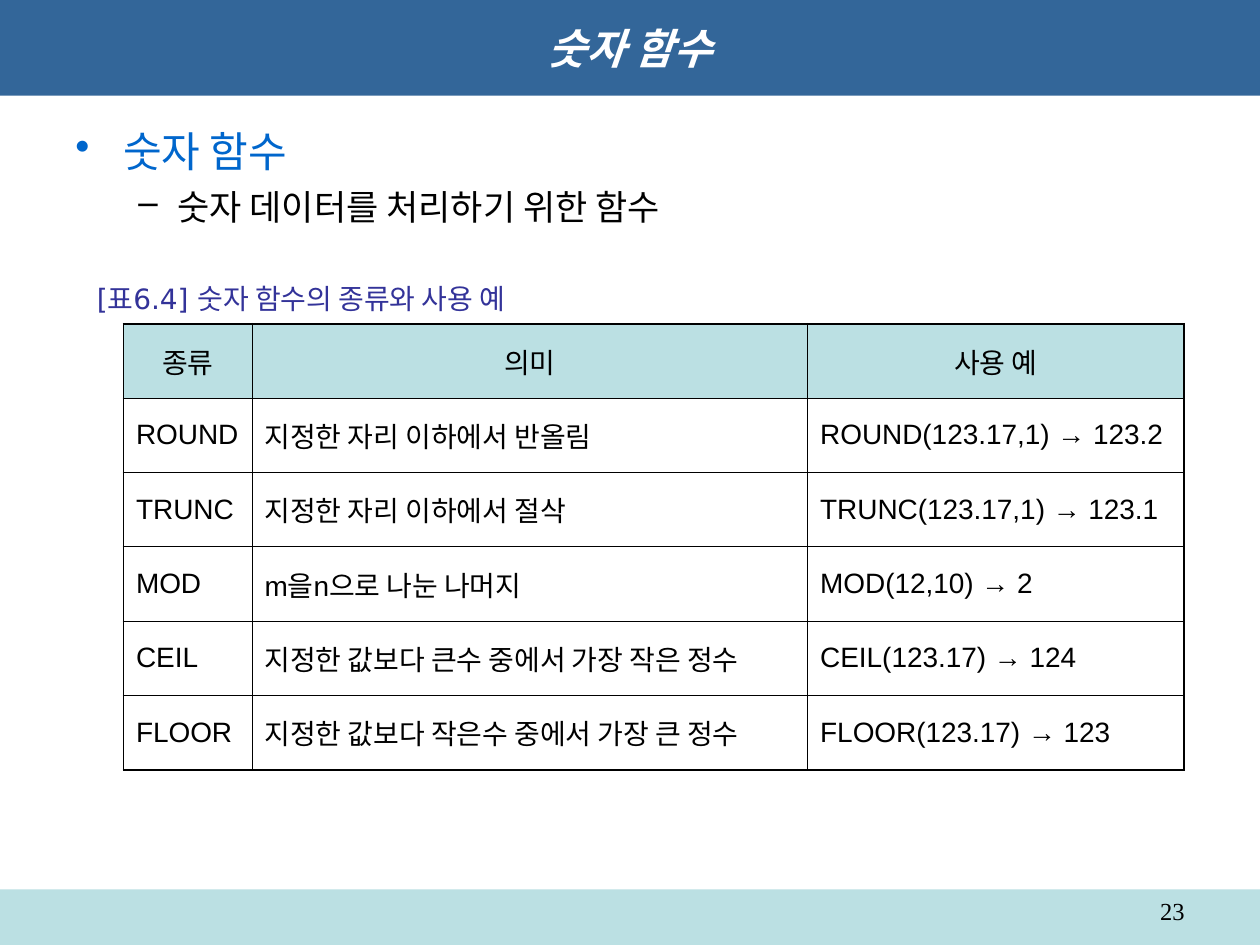
from lxml.etree import SubElement
from pptx import Presentation
from pptx.dml.color import RGBColor
from pptx.enum.shapes import MSO_SHAPE
from pptx.enum.text import MSO_ANCHOR, PP_ALIGN
from pptx.oxml.ns import qn
from pptx.util import Inches, Pt

COLORS = {
    "header": "336699",
    "pale": "BBE0E3",
    "heading": "0066CC",
    "caption": "333399",
    "text": "000000",
    "title": "FFFFFF",
}
COLUMN_WIDTHS = [1.02, 4.41, 2.99]
ROWS = [
    ["종류", "의미", "사용 예"],
    ["ROUND", "지정한 자리 이하에서 반올림", "ROUND(123.17,1) → 123.2"],
    ["TRUNC", "지정한 자리 이하에서 절삭", "TRUNC(123.17,1) → 123.1"],
    ["MOD", "m을n으로 나눈 나머지", "MOD(12,10) → 2"],
    ["CEIL", "지정한 값보다 큰수 중에서 가장 작은 정수", "CEIL(123.17) → 124"],
    ["FLOOR", "지정한 값보다 작은수 중에서 가장 큰 정수", "FLOOR(123.17) → 123"],
]


def color(name):
    return RGBColor.from_string(COLORS[name])


def add_run(paragraph, text, size, color_name="text", font_name="Arial"):
    run = paragraph.add_run()
    run.text = text
    run.font.size = Pt(size)
    run.font.name = font_name
    run.font.color.rgb = color(color_name)
    return run


def add_band(slide, box, fill):
    band = slide.shapes.add_shape(MSO_SHAPE.RECTANGLE, *map(Inches, box))
    band.shadow.inherit = False
    band.fill.solid()
    band.fill.fore_color.rgb = color(fill)
    band.line.fill.background()
    return band


def add_text_frame(slide, box, wrap=True):
    text_frame = slide.shapes.add_textbox(*map(Inches, box)).text_frame
    text_frame.word_wrap = wrap
    return text_frame


def add_title(slide, box):
    text_frame = add_band(slide, box, "header").text_frame
    text_frame.vertical_anchor = MSO_ANCHOR.MIDDLE
    paragraph = text_frame.paragraphs[0]
    paragraph.alignment = PP_ALIGN.CENTER
    run = add_run(paragraph, "숫자 함수", 24, "title", "DejaVu Sans")
    run.font.bold = True
    run.font.italic = True


def set_bullet(paragraph, character, color_name, margin, indent):
    properties = paragraph._p.get_or_add_pPr()
    properties.set("marL", str(Inches(margin)))
    properties.set("indent", str(Inches(indent)))
    bullet_color = SubElement(properties, qn("a:buClr"))
    SubElement(bullet_color, qn("a:srgbClr"), val=COLORS[color_name])
    SubElement(properties, qn("a:buChar"), char=character)


def add_body(slide, box):
    text_frame = add_text_frame(slide, box)
    heading = text_frame.paragraphs[0]
    set_bullet(heading, "•", "heading", 0.38, -0.38)
    add_run(heading, "숫자 함수", 24, "heading")
    detail = text_frame.add_paragraph()
    detail.level = 1
    set_bullet(detail, "–", "text", 0.81, -0.31)
    detail.space_before = Pt(5)
    add_run(detail, "숫자 데이터를 처리하기 위한 함수", 20)


def set_borders(cell, outer_edges):
    properties = cell._tc.get_or_add_tcPr()
    for side in "LRTB":
        width = Pt(1.08 if side in outer_edges else 0.45)
        line = SubElement(properties, qn(f"a:ln{side}"), w=str(width))
        fill = SubElement(line, qn("a:solidFill"))
        SubElement(fill, qn("a:srgbClr"), val=COLORS["text"])


def add_function_table(slide, box):
    row_count, column_count = len(ROWS), len(COLUMN_WIDTHS)
    table = slide.shapes.add_table(row_count, column_count, *map(Inches, box)).table
    for column, width in zip(table.columns, COLUMN_WIDTHS):
        column.width = Inches(width)
    for row_index, texts in enumerate(ROWS):
        for column_index, text in enumerate(texts):
            cell = table.cell(row_index, column_index)
            edges = {
                "L": column_index == 0,
                "R": column_index == column_count - 1,
                "T": row_index == 0,
                "B": row_index == row_count - 1,
            }
            set_borders(cell, [side for side, outer in edges.items() if outer])
            cell.vertical_anchor = MSO_ANCHOR.MIDDLE
            paragraph = cell.text_frame.paragraphs[0]
            add_run(paragraph, text, 16).font.bold = False
            if row_index == 0:
                paragraph.alignment = PP_ALIGN.CENTER
                cell.fill.solid()
                cell.fill.fore_color.rgb = color("pale")
            else:
                cell.fill.background()


def add_caption(slide, box):
    text_frame = add_text_frame(slide, box, wrap=False)
    text_frame.vertical_anchor = MSO_ANCHOR.MIDDLE
    add_run(text_frame.paragraphs[0], "[표6.4] 숫자 함수의 종류와 사용 예", 16,
            "caption", "DejaVu Sans")


def add_page_number(slide, box):
    paragraph = add_text_frame(slide, box).paragraphs[0]
    paragraph.alignment = PP_ALIGN.RIGHT
    add_run(paragraph, "23", 14, font_name="Times New Roman")


def main():
    presentation = Presentation()
    presentation.slide_width = Inches(10)
    presentation.slide_height = Inches(7.5)
    slide = presentation.slides.add_slide(presentation.slide_layouts[6])
    add_band(slide, (0, 7.06, 10, 0.44), "pale")
    add_title(slide, (0, 0, 10, 0.76))
    add_body(slide, (0.5, 0.95, 9, 5.95))
    add_function_table(slide, (0.98, 2.57, sum(COLUMN_WIDTHS), 3.54))
    add_caption(slide, (0.67, 2.18, 3.67, 0.37))
    add_page_number(slide, (7.17, 7.06, 2.33, 0.29))
    presentation.save("out.pptx")


if __name__ == "__main__":
    main()
